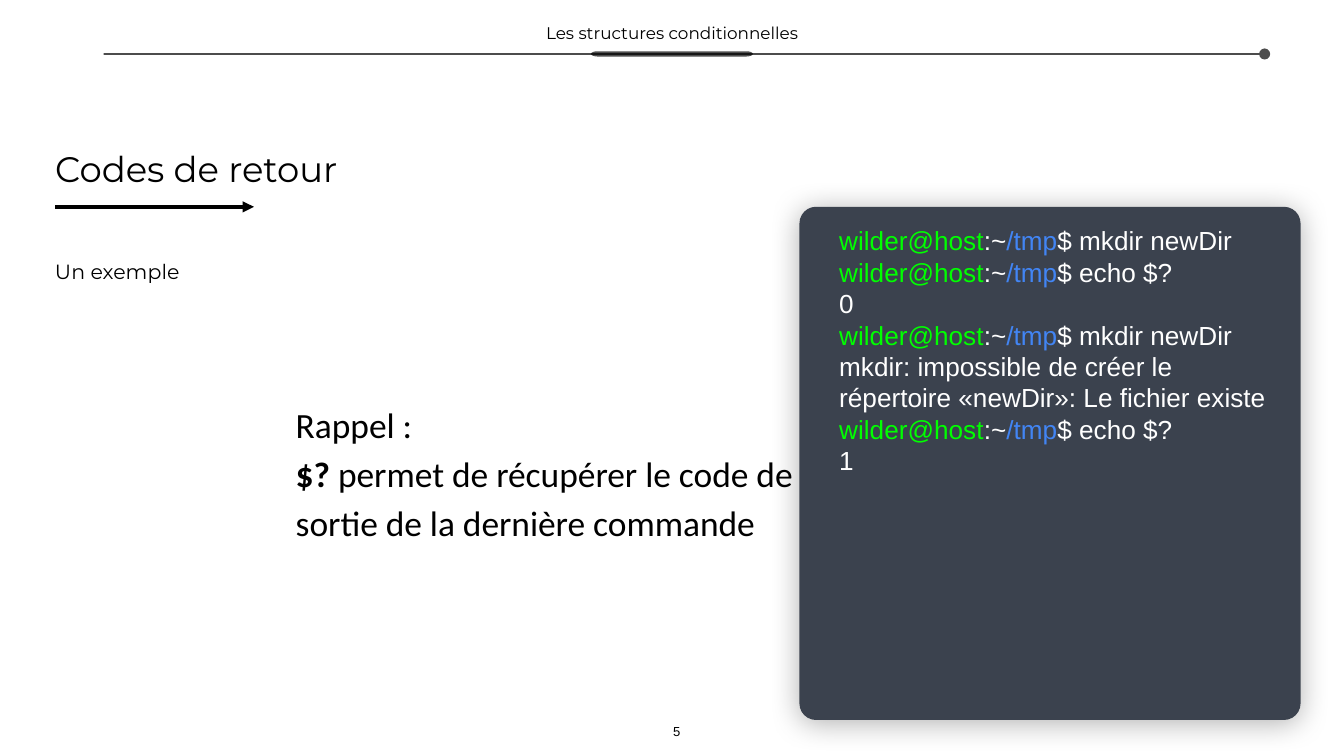
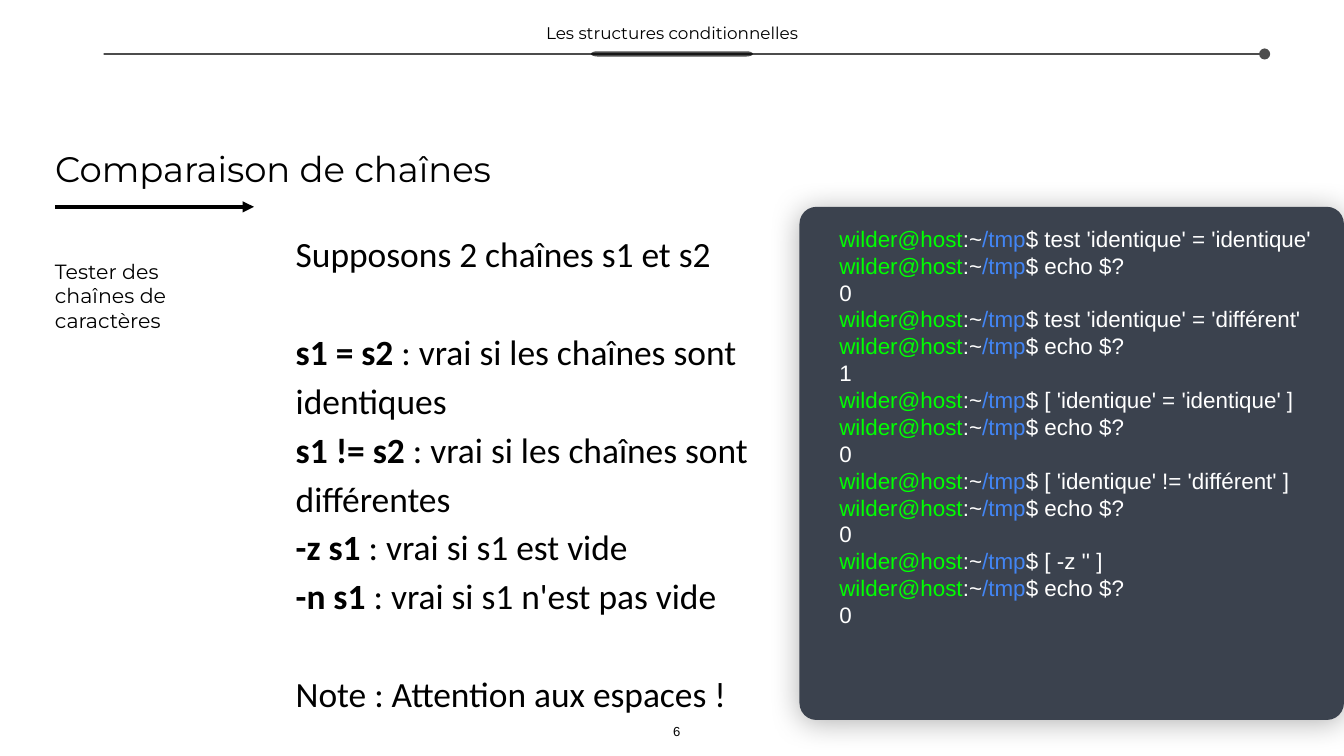
"""Builds two course slides on shell return codes and string comparison."""
from dataclasses import dataclass
from math import cos, pi, sin

from lxml import etree
from pptx import Presentation
from pptx.dml.color import RGBColor
from pptx.enum.shapes import MSO_CONNECTOR, MSO_SHAPE
from pptx.enum.text import MSO_ANCHOR, MSO_AUTO_SIZE, PP_ALIGN
from pptx.oxml.ns import qn
from pptx.util import Cm, Pt

STRAIGHT = MSO_CONNECTOR.STRAIGHT
ROUNDED = MSO_SHAPE.ROUNDED_RECTANGLE
TOP, MIDDLE, BOTTOM = MSO_ANCHOR.TOP, MSO_ANCHOR.MIDDLE, MSO_ANCHOR.BOTTOM
LEFT, CENTER = PP_ALIGN.LEFT, PP_ALIGN.CENTER
FIXED = MSO_AUTO_SIZE.NONE


@dataclass(frozen=True)
class Theme:
    ink: str = "000000"
    paper: str = "FFFFFF"
    panel: str = "3B424E"
    user: str = "00FF00"
    folder: str = "4285F4"
    heading_font: str = "Montserrat"
    body_font: str = "Calibri"
    code_font: str = "Arial"
    title_size: float = 19
    body_size: float = 19
    subtitle_size: float = 11
    header_size: float = 9
    number_size: float = 7
    body_spacing: float = 1.15
    blank_line: float = 26.2


class Lesson:
    def __init__(self, theme):
        self.theme = theme
        self.deck = Presentation()
        self.deck.slide_width, self.deck.slide_height = Cm(25.4), Cm(14.29)
        self.page = None

    def add_page(self, title, subtitle, subtitle_height, number):
        theme = self.theme
        self.page = self.deck.slides.add_slide(self.deck.slide_layouts[5])
        self.page.background.fill.solid()
        self.page.background.fill.fore_color.rgb = RGBColor.from_string(theme.paper)
        self.line(1.04, 4.8, 3.91, 2, "triangle")
        self.title(title)
        self.label(subtitle, (0.99, 4.83, 3.66, subtitle_height), theme.subtitle_size)
        self.label(str(number), (12.5, 13.61, 0.58, 0.41), theme.number_size,
                   theme.code_font, CENTER, BOTTOM)
        self.line(1.96, 23.9, 1.02, 1, "oval", 70)
        self.label("Les structures conditionnelles", (9.17, 0.38, 7.06, 0.48),
                   theme.header_size, align=CENTER)
        self.header_bar()

    def place(self, box, frame):
        box.left, box.top, box.width, box.height = map(Cm, frame)

    def set_frame(self, box, side, edge, anchor):
        text = box.text_frame
        text.word_wrap = True
        text.auto_size = FIXED
        text.vertical_anchor = anchor
        text.margin_left = Cm(side)
        text.margin_right = text.margin_top = text.margin_bottom = Cm(edge)
        return text

    def style(self, span, size, font, color, bold=False):
        span.font.size = Pt(size)
        span.font.name = font
        span.font.bold = bold
        span.font.color.rgb = RGBColor.from_string(color)

    def add_span(self, para, words, size, font, color, bold=False):
        span = para.add_run()
        span.text = words
        self.style(span, size, font, color, bold)

    def paragraphs(self, text, count):
        return [text.paragraphs[0]] + [text.add_paragraph() for _ in range(count - 1)]

    def write_line(self, box, words, size, font, align, anchor):
        para = self.set_frame(box, 0.05, 0.05, anchor).paragraphs[0]
        para.text = words
        para.alignment = align
        self.style(para.runs[0], size, font, self.theme.ink)

    def title(self, words):
        box = self.page.shapes.title
        self.place(box, (0.99, 2.72, 10.64, 0.91))
        self.write_line(box, words, self.theme.title_size, self.theme.heading_font,
                        LEFT, MIDDLE)

    def label(self, words, frame, size, font=None, align=LEFT, anchor=MIDDLE):
        box = self.page.shapes.add_textbox(*map(Cm, frame))
        self.write_line(box, words, size, font or self.theme.heading_font, align, anchor)

    def set_alpha(self, shape, percent):
        for color in shape.element.spPr.iter(qn("a:srgbClr")):
            etree.SubElement(color, qn("a:alpha"), val=str(percent * 1000))

    def line(self, start, end, height, weight, tip, alpha=100):
        rule = self.page.shapes.add_connector(
            STRAIGHT, Cm(start), Cm(height), Cm(end), Cm(height))
        rule.line.width = Pt(weight)
        rule.line.color.rgb = RGBColor.from_string(self.theme.ink)
        stroke = rule.element.spPr.find(qn("a:ln"))
        etree.SubElement(stroke, qn("a:tailEnd"), type=tip)
        etree.SubElement(rule.element.spPr, qn("a:effectLst"))
        if alpha < 100:
            self.set_alpha(rule, alpha)

    def header_bar(self):
        middle, height, half, tip, thick = 12.7, 1.02, 1.4, 0.13, 0.05
        points = []
        for side in (1, -1):
            for step in range(9):
                turn = pi * step / 8 - pi / 2
                points.append((Cm(middle + side * (half + tip * cos(turn))),
                               Cm(height + side * thick * sin(turn))))
        builder = self.page.shapes.build_freeform(*points[0])
        builder.add_line_segments(points[1:], close=True)
        bar = builder.convert_to_shape()
        bar.shadow.inherit = False
        bar.fill.solid()
        bar.fill.fore_color.rgb = RGBColor.from_string(self.theme.ink)
        bar.line.fill.background()
        self.set_alpha(bar, 69)

    def body(self, items):
        theme = self.theme
        box = self.page.shapes.add_textbox(Cm(5.49), Cm(4.04), Cm(9.65), Cm(9.7))
        text = self.set_frame(box, 0.1, 0.1, MIDDLE)
        for para, (term, words, spaced) in zip(self.paragraphs(text, len(items)), items):
            para.line_spacing = theme.body_spacing
            if spaced:
                para.space_before = Pt(theme.blank_line)
            if term:
                self.add_span(para, term, theme.body_size, theme.body_font,
                              theme.ink, True)
            self.add_span(para, words, theme.body_size, theme.body_font, theme.ink)

    def terminal(self, width, size, lines):
        theme = self.theme
        panel = self.page.shapes.add_shape(ROUNDED, Cm(15.11), Cm(3.91), Cm(width), Cm(9.7))
        panel.adjustments[0] = 0.033
        panel.fill.solid()
        panel.fill.fore_color.rgb = RGBColor.from_string(theme.panel)
        panel.line.fill.background()
        self.soft_shadow(panel)
        text = self.set_frame(panel, 0.66, 0.25, TOP)
        prompt = (("wilder@host", theme.user), (":~", theme.paper), ("/tmp", theme.folder))
        for para, words in zip(self.paragraphs(text, len(lines)), lines):
            para.alignment = LEFT
            start = prompt if words.startswith("$ ") else ()
            for part, color in (*start, (words, theme.paper)):
                self.add_span(para, part, size, theme.code_font, color)

    def soft_shadow(self, shape):
        shape.shadow.inherit = False
        effects = shape.element.spPr.find(qn("a:effectLst"))
        shadow = etree.SubElement(effects, qn("a:outerShdw"), blurRad=str(Pt(15.8)),
                                  dist=str(Pt(1.5)), dir="5400000", algn="bl",
                                  rotWithShape="0")
        color = etree.SubElement(shadow, qn("a:srgbClr"), val=self.theme.ink)
        etree.SubElement(color, qn("a:alpha"), val="30000")


def main():
    lesson = Lesson(Theme())

    lesson.add_page("Codes de retour", "Un exemple", 0.58, 5)
    lesson.body([
        ("", "Rappel :", False),
        ("$?", " permet de récupérer le code de sortie de la dernière commande", False),
    ])
    lesson.terminal(9.47, 14, [
        "$ mkdir newDir", "$ echo $?", "0",
        "$ mkdir newDir",
        "mkdir: impossible de créer le répertoire «newDir»: Le fichier existe",
        "$ echo $?", "1",
    ])

    lesson.add_page("Comparaison de chaînes", "Tester des chaînes de caractères", 1.52, 6)
    lesson.body([
        ("", "Supposons 2 chaînes s1 et s2", False),
        ("s1 = s2", " : vrai si les chaînes sont identiques", True),
        ("s1 != s2", " : vrai si les chaînes sont différentes", False),
        ("-z s1", " : vrai si s1 est vide", False),
        ("-n s1", " : vrai si s1 n'est pas vide", False),
        ("", "Note : Attention aux espaces !", True),
    ])
    tests = [
        ("test 'identique' = 'identique'", "0"),
        ("test 'identique' = 'différent'", "1"),
        ("[ 'identique' = 'identique' ]", "0"),
        ("[ 'identique' != 'différent' ]", "0"),
        ("[ -z '' ]", "0"),
    ]
    lesson.terminal(10.29, 12, [
        words for test, code in tests for words in (f"$ {test}", "$ echo $?", code)
    ])

    lesson.deck.save("out.pptx")


if __name__ == "__main__":
    main()
